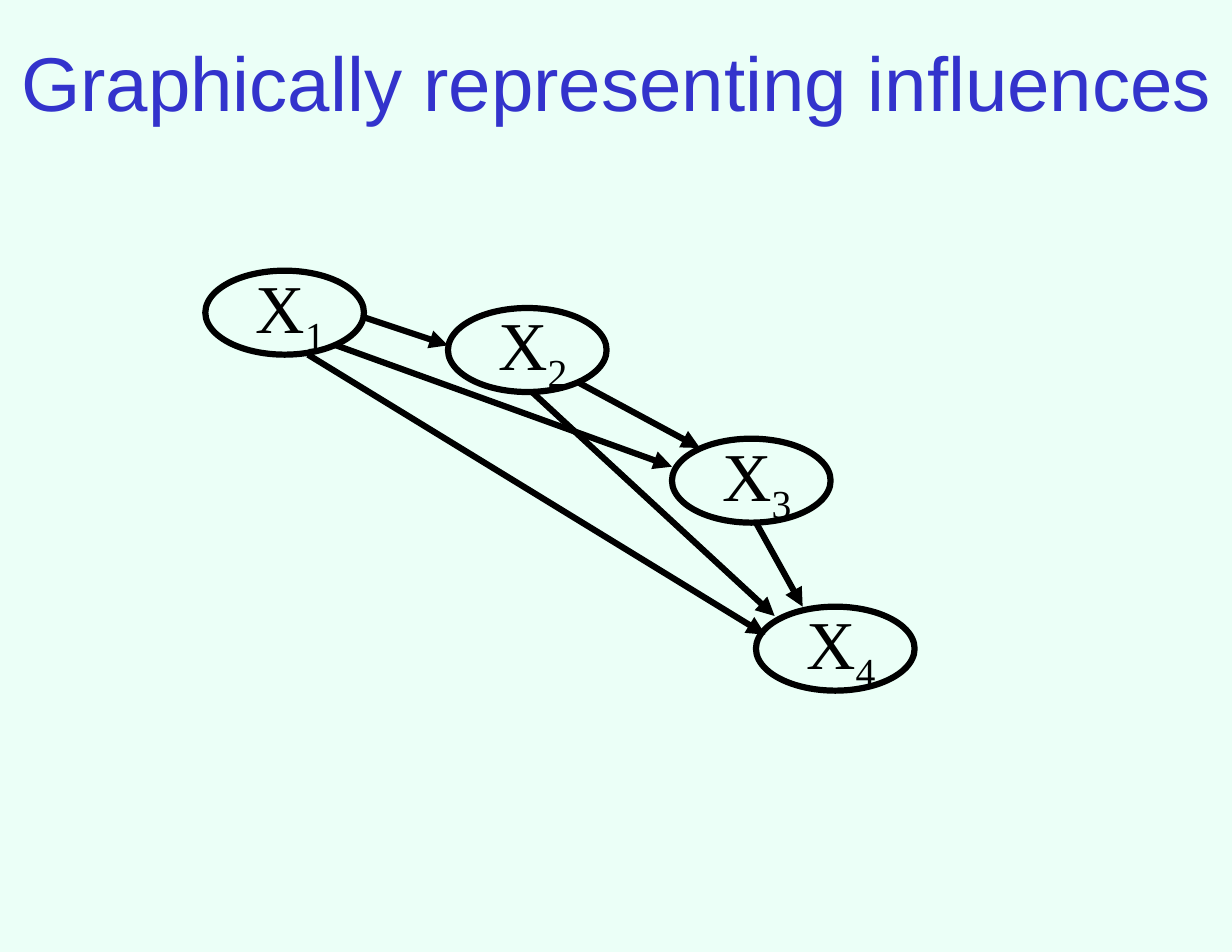
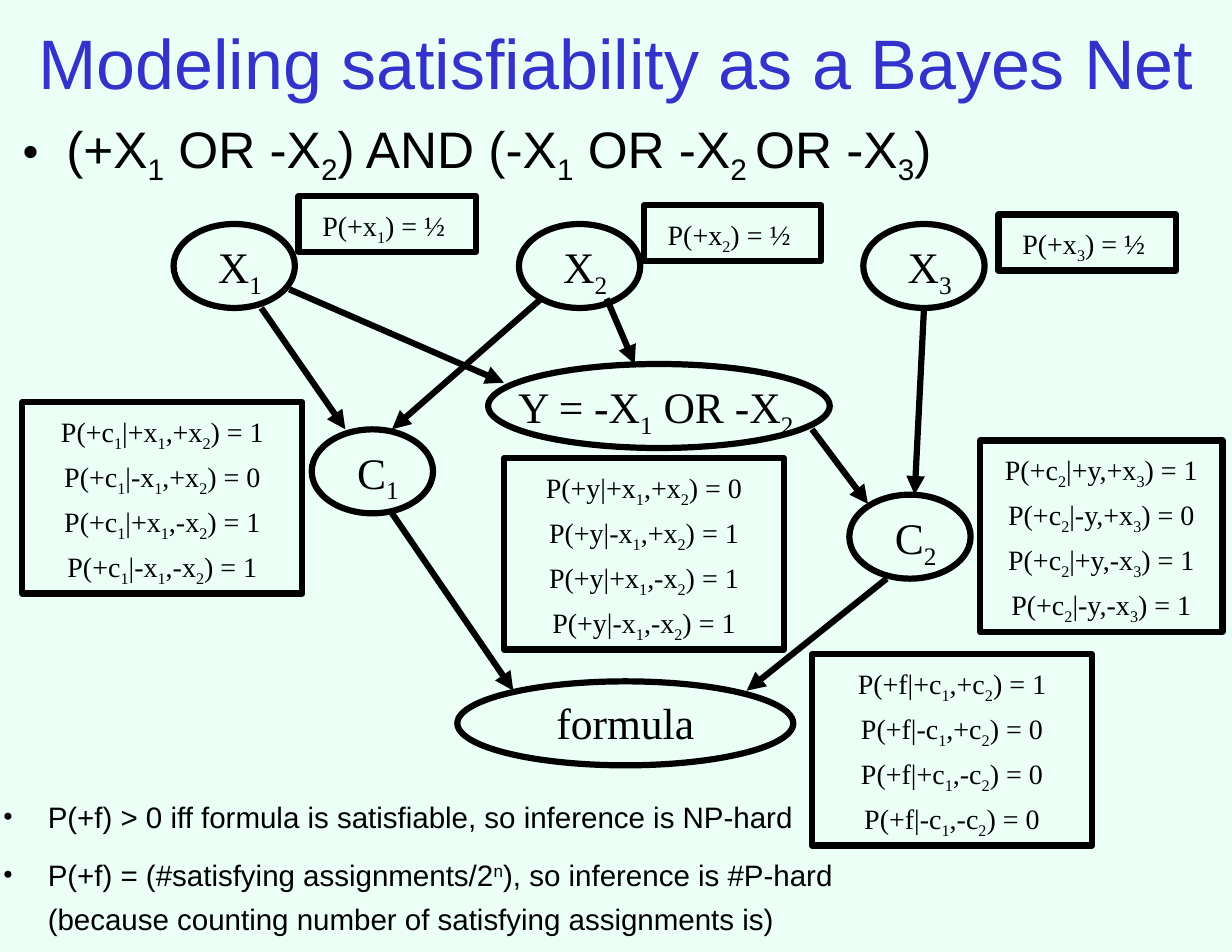
"""Build two slides on influence graphs and satisfiability as a Bayes net."""
import pptx
import pptx.dml.color
import pptx.enum.shapes
import pptx.enum.text
import pptx.oxml.ns
import pptx.util
from lxml import etree

MINT = pptx.dml.color.RGBColor(0xEB, 0xFF, 0xF7)
BLUE = pptx.dml.color.RGBColor(0x33, 0x33, 0xCC)
BLACK = pptx.dml.color.RGBColor(0, 0, 0)
SANS, SERIF = "Arial", "Times New Roman"
OVAL = pptx.enum.shapes.MSO_SHAPE.OVAL
RECT = pptx.enum.shapes.MSO_SHAPE.RECTANGLE
CENTER = pptx.enum.text.PP_ALIGN.CENTER
LEFT = pptx.enum.text.PP_ALIGN.LEFT

deck = pptx.Presentation()
deck.slide_width = pptx.util.Inches(11)
deck.slide_height = pptx.util.Inches(8.5)
COL = deck.slide_width / 132
ROW = deck.slide_height / 102


def grid(x, y, wide, high):
    """Turn grid columns and rows into slide lengths."""
    return [round(n * unit) for n, unit in zip((x, y, wide, high), (COL, ROW) * 2)]


def write(shape, lines, size, face=SERIF, color=BLACK, wrap=True, dot=False):
    """Fill a shape; _ lowers and ^ raises the next letter, or all up to a }."""
    frame = shape.text_frame
    frame.word_wrap = wrap
    if not wrap:
        frame.auto_size = pptx.enum.text.MSO_AUTO_SIZE.SHAPE_TO_FIT_TEXT
    frame.vertical_anchor = pptx.enum.text.MSO_ANCHOR.TOP
    side, edge = (0.11, 0.06) if face == SANS else (0.1, 0.05)
    frame.margin_left = frame.margin_right = pptx.util.Inches(side)
    frame.margin_top = frame.margin_bottom = pptx.util.Inches(edge)
    for i, line in enumerate(lines):
        para = frame.add_paragraph() if i else frame.paragraphs[0]
        para.alignment = LEFT if dot else CENTER
        para.line_spacing = 1.24 if face == SANS else 1.18
        para.space_before = pptx.util.Pt(9 if dot else 0)
        para.font.size = pptx.util.Pt(size)
        para.font.name = face
        para.font.color.rgb = color
        if dot:
            props = para._p.get_or_add_pPr()
            props.set("marL", str(pptx.util.Inches(0.4)))
            props.set("indent", str(-pptx.util.Inches(0.4)))
            last = props.find(pptx.oxml.ns.qn("a:defRPr"))
            for tag, key, value in (("a:buFont", "typeface", SERIF),
                                    ("a:buChar", "char", "•")):
                mark = etree.Element(pptx.oxml.ns.qn(tag))
                mark.set(key, value)
                last.addprevious(mark)
        sign, base = ("^", "30000") if "^" in line else ("_", "-25000")
        head, *tails = line.split(sign)
        para.add_run().text = head
        for tail in tails:
            small, stop, rest = tail.partition("}")
            if not stop:
                small, rest = tail[0], tail[1:]
            run = para.add_run()
            run.text = small
            run.font._element.set("baseline", base)
            if rest:
                para.add_run().text = rest


SIGNS = ("++", "-+", "+-", "--")
plots = [
    {
        "title": "Graphically representing influences", "size": 49, "top": 3,
        "label": (44, -3, 13),
        "nodes": [("X_1", 22, 29, 17, 9.8, 0.6), ("X_2", 48, 33, 17, 9.8, 0.6),
                  ("X_3", 72, 47, 17, 9.8, 0.6), ("X_4", 81, 65, 17, 9.8, 0.6)],
        "odds": [],
        "links": [(39, 34, 48, 37), (36, 37, 72, 50), (33, 38, 82, 68),
                  (81, 56, 86, 65), (57, 42, 83, 66), (62, 41, 75, 48)],
        "notes": [],
    },
    {
        "title": "Modeling satisfiability as a Bayes Net", "size": 45, "top": 1,
        "label": (28, 0, 8.8),
        "nodes": [("X_1", 18.6, 24, 13, 7.1, 0.6), ("X_2", 55.6, 24, 13, 7.1, 0.6),
                  ("X_3", 92.5, 24, 13, 7.1, 0.6), ("C_1", 33.4, 46, 13, 7.1, 0.6),
                  ("C_2", 91, 53, 13, 7.1, 0.6),
                  ("Y = -X_1 OR -X_2 }", 52.3, 39, 36.6, 32.8, 0),
                  ("formula ", 49, 73, 36, 17.8, 0)],
        "odds": [("P(+c_1|{}x_1,{}x_2) = {}", "1011", 2.4, 43.1, 30),
                 ("P(+y|{}x_1,{}x_2) = {}", "0111", 54, 49.1, 30),
                 ("P(+c_2|{}y,{}x_3) = {}", "1011", 105, 47.2, 26),
                 ("P(+f|{}c_1,{}c_2) = {}", "1000", 87, 70.1, 30),
                 ("P(+x_1) = ½ ", "", 32, 21, 19),
                 ("P(+x_2) = ½ ", "", 69, 22, 19),
                 ("P(+x_3) = ½ ", "", 107, 23, 19)],
        "links": [(42, 55, 55, 74), (95, 62, 80, 74), (28, 33, 37, 46),
                  (58, 32, 42, 46), (65, 32, 68, 39), (31, 31, 54, 41),
                  (87, 46, 93, 54), (99, 33, 98, 53)],
        "notes": [
            ((1, 10, 131, 11), 33, ["(+X_1 OR -X_2) AND (-X_1 OR -X_2 }OR -X_3)"]),
            ((-1, 84, 94, 18), 19, [
                "P(+f) > 0 iff formula is satisfiable, so inference is NP-hard",
                "P(+f) = (#satisfying assignments/2^n), so inference is #P-hard "
                "(because counting number of satisfying assignments is)"]),
        ],
    },
]

for plot in plots:
    slide = deck.slides.add_slide(deck.slide_layouts[6])
    slide.background.fill.solid()
    slide.background.fill.fore_color.rgb = MINT
    shapes = slide.shapes

    title = shapes.add_textbox(*grid(0, plot["top"], 132, 9))
    write(title, [plot["title"]], plot["size"], SANS, BLUE)
    title.text_frame.vertical_anchor = pptx.enum.text.MSO_ANCHOR.MIDDLE

    for box, size, lines in plot["notes"]:
        write(shapes.add_textbox(*grid(*box)), lines, size, SANS, dot=True)

    frames = []
    size, drop, high = plot["label"]
    for name, x, y, wide, span, shift in plot["nodes"]:
        left = x + (wide - span) / 2 + shift
        label = shapes.add_textbox(*grid(left, y + drop, span, high))
        write(label, [name], size, wrap=False)
        frames.append(shapes.add_shape(OVAL, *grid(x, y, wide, 9)))

    for form, ends, x, y, wide in plot["odds"]:
        lines = [form.format(*pair, end) for pair, end in zip(SIGNS, ends)] or [form]
        card = shapes.add_shape(RECT, *grid(x, y, wide, 20.5 if ends else 6))
        write(card, lines, 18)
        frames.append(card)

    for shape in frames:
        shape.shadow.inherit = False
        shape.fill.background()
        shape.line.color.rgb = BLACK
        shape.line.width = pptx.util.Pt(4)

    for ends in plot["links"]:
        link = shapes.add_connector(
            pptx.enum.shapes.MSO_CONNECTOR.STRAIGHT, *grid(*ends))
        link.line.color.rgb = BLACK
        link.line.width = pptx.util.Pt(4)
        etree.SubElement(link.line._get_or_add_ln(),
                         pptx.oxml.ns.qn("a:tailEnd"), type="triangle")
        etree.SubElement(link._element.spPr, pptx.oxml.ns.qn("a:effectLst"))

deck.save("out.pptx")
